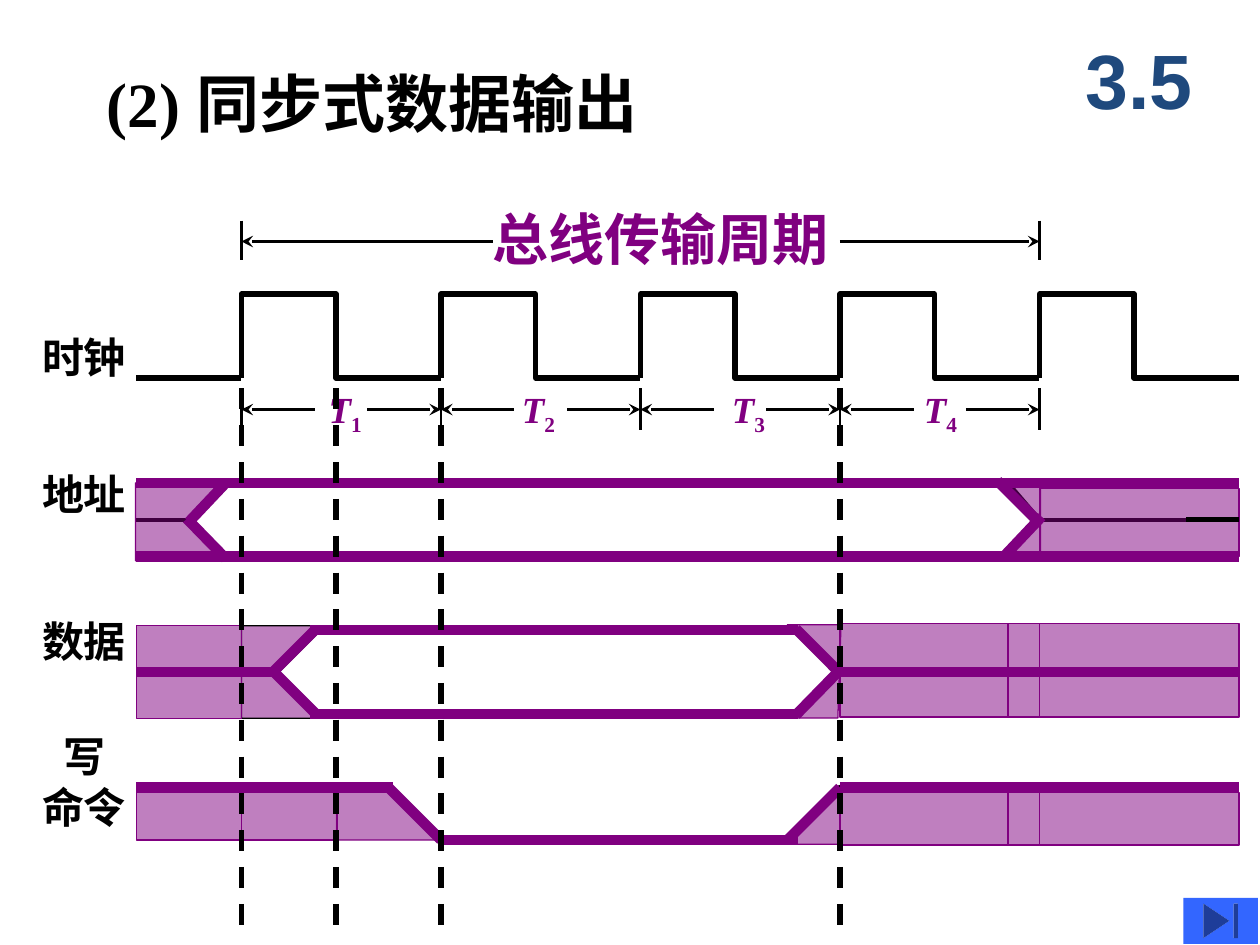
from itertools import pairwise

from lxml import etree
from pptx import Presentation
from pptx.dml.color import RGBColor
from pptx.enum.dml import MSO_LINE
from pptx.enum.shapes import MSO_CONNECTOR, MSO_SHAPE
from pptx.enum.text import MSO_ANCHOR, PP_ALIGN
from pptx.oxml.ns import qn
from pptx.util import Inches, Pt

STRAIGHT = MSO_CONNECTOR.STRAIGHT
RECTANGLE = MSO_SHAPE.RECTANGLE
END_BUTTON = MSO_SHAPE.ACTION_BUTTON_END
DASH = MSO_LINE.DASH
CENTER, LEFT = PP_ALIGN.CENTER, PP_ALIGN.LEFT
TOP, MIDDLE = MSO_ANCHOR.TOP, MSO_ANCHOR.MIDDLE

COLORS = {"ink": "000000", "signal": "800080", "section": "1F497D", "button": "3366FF"}
LATIN, CJK, SANS = "Times New Roman", "Noto Sans CJK SC", "Arial"
COLUMNS, ROWS = 120, 90
WIDTH, HEIGHT = Inches(10), Inches(7.5)


class TimingSlide:
    def __init__(self, presentation):
        self.slide = presentation.slides.add_slide(presentation.slide_layouts[6])
        self.shapes = self.slide.shapes

    def place(self, column, row):
        return round(column * WIDTH / COLUMNS), round(row * HEIGHT / ROWS)

    def color(self, name):
        return RGBColor.from_string(COLORS[name])

    def stroke(self, shape, name, width):
        shape.line.color.rgb = self.color(name)
        shape.line.width = Pt(width)

    def line(self, start, end, width, name="ink", dash=None, arrow=None):
        connector = self.shapes.add_connector(STRAIGHT, *self.place(*start), *self.place(*end))
        self.stroke(connector, name, width)
        if dash:
            connector.line.dash_style = dash
        if arrow:
            etree.SubElement(connector.line._get_or_add_ln(), qn(f"a:{arrow}"), type="stealth")
        etree.SubElement(connector._element.spPr, qn("a:effectLst"))

    def rails(self, columns, row):
        for start, end in pairwise(columns):
            self.line((start, row), (end, row), 6, "signal")

    def tint(self, shape):
        shape.fill.solid()
        shape.fill.fore_color.rgb = self.color("signal")
        color = shape._element.spPr.find(qn("a:solidFill"))[0]
        etree.SubElement(color, qn("a:alpha"), val="50000")

    def outline(self, points, width, name="ink", tinted=False, close=False):
        first, *others = [self.place(*point) for point in points]
        builder = self.shapes.build_freeform(*first, scale=1.0)
        builder.add_line_segments(others, close=close)
        shape = builder.convert_to_shape()
        shape.shadow.inherit = False
        shape.fill.background()
        if tinted:
            self.tint(shape)
        self.stroke(shape, name, width)

    def block(self, left, top, width, height):
        shape = self.shapes.add_shape(
            RECTANGLE, *self.place(left, top), *self.place(width, height))
        shape.shadow.inherit = False
        self.tint(shape)
        self.stroke(shape, "signal", 0.75)

    def button(self, left, top, width, height):
        shape = self.shapes.add_shape(
            END_BUTTON, *self.place(left, top), *self.place(width, height))
        shape.shadow.inherit = False
        shape.fill.solid()
        shape.fill.fore_color.rgb = self.color("button")
        shape.line.fill.background()

    def text(self, box, paragraphs, size, name="ink", font=LATIN, align=LEFT,
             anchor=TOP, wrap=False, inset=(0, 0)):
        left, top, width, height = box
        shape = self.shapes.add_textbox(*self.place(left, top), *self.place(width, height))
        frame = shape.text_frame
        frame.word_wrap = wrap
        frame.vertical_anchor = anchor
        frame.margin_left = frame.margin_right = Inches(inset[0])
        frame.margin_top = frame.margin_bottom = Inches(inset[1])
        for index, words in enumerate(paragraphs):
            paragraph = frame.paragraphs[0] if index == 0 else frame.add_paragraph()
            paragraph.text = words
            paragraph.alignment = align
            paragraph.font.name = font
            paragraph.font.size = Pt(size)
            paragraph.font.bold = True
            paragraph.font.color.rgb = self.color(name)
        return frame.paragraphs[0]

    def period(self, left, number):
        paragraph = self.text((left, 36.8, 3.4, 4.2), ["T"], 21, "signal")
        paragraph.runs[0].font.italic = True
        subscript = paragraph.add_run()
        subscript.text = str(number)
        subscript._r.get_or_add_rPr().set("baseline", "-25000")


presentation = Presentation()
presentation.slide_width, presentation.slide_height = WIDTH, HEIGHT
timing = TimingSlide(presentation)

timing.text((9, 5.6, 53, 8.4), ["(2) 同步式数据输出"], 36, wrap=True, inset=(0.1, 0.05))
timing.text((101, 2, 15, 11), ["3.5"], 44, "section", SANS, CENTER, MIDDLE, True, (0.1, 0.05))
timing.text((46.9, 19.5, 32.2, 6.4), ["总线传输周期"], 32, "signal", CJK)
for top, height, label in ((31, 6, ["时钟"]), (44, 6, ["地址"]),
                           (58, 6, ["数据"]), (69, 10.8, ["写", "命令"])):
    timing.text((4, top, 8, height), label, 24, align=CENTER, inset=(0, 0.05))

FIRST, LAST, PERIOD, END = 23, 99, 19, 118
for column in (FIRST, LAST):
    timing.line((column, 21), (column, 24.8), 1.25)
timing.line((FIRST, 23), (47, 23), 2.25, arrow="headEnd")
timing.line((80, 23), (LAST, 23), 2.25, arrow="tailEnd")

timing.line((13, 36), (FIRST, 36), 3)
for rise in range(FIRST, LAST + 1, PERIOD):
    fall, finish = rise + 9, rise + PERIOD
    timing.outline([(rise, 36), (rise, 28), (fall, 28), (fall, 36), (finish, 36)], 3)
    timing.line((rise, 37), (rise, 41), 1.25)
    if rise < LAST:
        timing.line((rise, 39), (rise + 7, 39), 2.25, arrow="headEnd")
        timing.line((rise + 12, 39), (finish, 39), 2.25, arrow="tailEnd")
for number, left in enumerate((31.3, 49.7, 69.7, 88), start=1):
    timing.period(left, number)

timing.line((13, 49.5), (18, 49.5), 2.5)
timing.line((LAST, 49.5), (115, 49.5), 2.5)
timing.outline([(21.4, 46), (18.2, 49.5), (21.1, 53), (96, 53), (99, 49.5), (96, 46)],
               2.5, close=True)
timing.outline([(30.3, 60), (26.3, 64), (30.3, 68), (76, 68), (80, 64), (76, 60)],
               3, close=True)
timing.outline([(13, 75), (37, 75), (42, 80), (75, 80), (80, 75), (114, 75)], 3)

for points, edge in (
    ([(17.9, 49.5), (21.8, 46), (12.9, 46), (12.9, 53.4), (22, 53.4)], "signal"),
    ([(95.8, 45.8), (99.1, 45.8), (99.1, 53), (95, 53), (99.3, 49.6)], "signal"),
    ([(30.6, 59.6), (23, 59.6), (23, 68.4), (30.5, 68.4), (25.8, 63.8)], "ink"),
    ([(75, 59.5), (80.1, 59.5), (79.8, 68.4), (75.5, 68.4), (79.9, 63.8), (75, 59.5)], "signal"),
    ([(32, 75), (37, 75), (42, 80), (32, 80)], "signal"),
    ([(79.9, 74.8), (74, 80.4), (80.1, 80.4)], "signal"),
):
    timing.outline(points, 0.75, edge, tinted=True)
for block in ((13, 59.6, 10, 8.8), (13, 75, 10, 5), (23, 75, 9.1, 5), (99, 46.5, 19, 6.5),
              (99, 75.5, 19, 5)):
    timing.block(*block)
for left, right in pairwise((80, 96, 99, 118)):
    timing.block(left, 59.4, right - left, 8.9)
    if right < END:
        timing.block(left, 75, right - left, 5.5)

for row in (46, 53):
    timing.rails((13, 23, 32, 42, 61, 76, 80, 96, 99, 118), row)
for row in (60, 68):
    timing.rails((29.5, 32, 42, 61, 76), row)
for columns, row in (((13, 23, 26), 64), ((80, 96, 99, 118), 64), ((13, 23, 32, 37.4), 75),
                     ((80, 96, 99, 118), 75), ((42, 61, 76), 80)):
    timing.rails(columns, row)
for start, end in (
    ((21.5, 46), (18, 49.7)), ((21.5, 53.2), (17.8, 49.4)),
    ((99.2, 49.2), (95.8, 52.8)), ((98.9, 49.7), (95, 45.8)),
    ((30.1, 59.9), (25.9, 64.1)), ((30.1, 68), (25.8, 63.7)),
    ((80.1, 64.2), (75.8, 59.9)), ((80, 63.8), (75.8, 68.1)),
    ((37, 75), (42, 80)), ((80, 75), (75, 80)),
):
    timing.line(start, end, 6, "signal")
timing.line((113, 49.5), (END, 49.5), 3)

for column in (23, 32, 42, 80):
    timing.line((column, 37), (column, 89), 3, dash=DASH)
timing.button(112.7, 85.5, 7.1, 4.4)

presentation.save("out.pptx")
